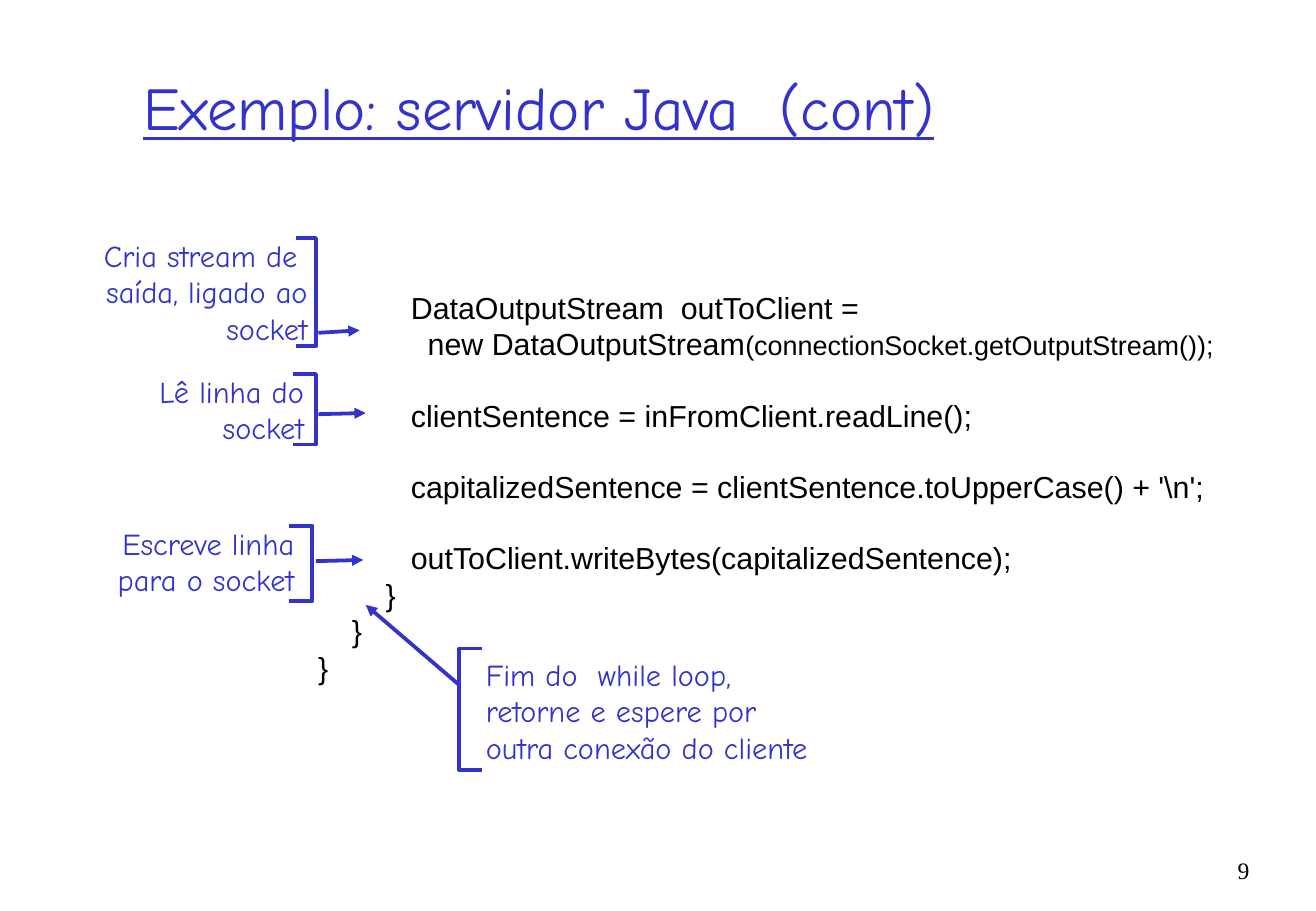
import pptx
import pptx.util
import pptx.dml.color
import pptx.enum.shapes
import pptx.enum.text
import pptx.oxml.ns
import lxml.etree

ALIGN = pptx.enum.text.PP_ALIGN
ANCHOR = pptx.enum.text.MSO_ANCHOR
COLUMNS, ROWS = 108.3, 75


def cells(count):
    return round(count * pptx.util.Inches(0.1))


def colour(value):
    return pptx.dml.color.RGBColor.from_string(value)


class Page:
    note_font, code_font, number_font = "Comic Neue", "Arial", "Times New Roman"
    blue, black = "3333CC", "000000"
    stroke = 2.25

    def __init__(self, deck):
        self.slide = deck.slides.add_slide(deck.slide_layouts[6])

    def text(self, lines, place, size, font, ink, align=ALIGN.LEFT,
             anchor=ANCHOR.MIDDLE, underline=None):
        box = self.slide.shapes.add_textbox(*map(cells, place))
        frame = box.text_frame
        frame.word_wrap = True
        frame.vertical_anchor = anchor
        for index, line in enumerate(lines):
            para = frame.paragraphs[0] if index == 0 else frame.add_paragraph()
            para.alignment = align
            para.font.name = font
            para.font.size = pptx.util.Pt(size)
            para.font.color.rgb = colour(ink)
            para.font.underline = underline
            para.add_run().text = line
        return frame.paragraphs

    def note(self, lines, place, align):
        self.text(lines, place, 18, self.note_font, self.blue, align)

    def outline(self, line):
        line.color.rgb = colour(self.blue)
        line.width = pptx.util.Pt(self.stroke)

    def bracket(self, spine, top, bottom, reach):
        tip = spine + reach
        builder = self.slide.shapes.build_freeform(cells(tip), cells(top), 1)
        corners = [(spine, top), (spine, bottom), (tip, bottom)]
        builder.add_line_segments(
            [(cells(x), cells(y)) for x, y in corners], close=False)
        shape = builder.convert_to_shape()
        shape.shadow.inherit = False
        shape.fill.background()
        self.outline(shape.line)

    def arrow(self, start, end):
        connector = self.slide.shapes.add_connector(
            pptx.enum.shapes.MSO_CONNECTOR.STRAIGHT, *map(cells, start + end))
        self.outline(connector.line)
        qualified = pptx.oxml.ns.qn
        lxml.etree.SubElement(connector.line._get_or_add_ln(),
                              qualified("a:tailEnd"), type="triangle")
        lxml.etree.SubElement(connector._element.spPr,
                              qualified("a:effectLst"))

    def code(self, lines, place, spaced_lines, gap):
        paras = self.text(lines, place, 18, self.code_font, self.black,
                          anchor=ANCHOR.TOP)
        for index in spaced_lines:
            paras[index].space_before = pptx.util.Pt(gap)
        return paras


def main():
    deck = pptx.Presentation()
    deck.slide_width, deck.slide_height = cells(COLUMNS), cells(ROWS)
    page = Page(deck)

    page.text(["Exemplo: servidor Java  (cont)"], (10.8, 2.5, 84.9, 12.5),
              36, page.note_font, page.blue, underline=True)

    code_lines = [
        "           DataOutputStream  outToClient =",
        "             new DataOutputStream",
        "           clientSentence = inFromClient.readLine();",
        "           capitalizedSentence = clientSentence.toUpperCase() + '\\n';",
        "           outToClient.writeBytes(capitalizedSentence);",
        "        }",
        "    }",
        "}",
    ]
    paras = page.code(code_lines, (25.2, 23.3, 78, 34), (2, 3, 4), 20.7)
    span = paras[1].add_run()
    span.text = "(connectionSocket.getOutputStream());"
    span.font.size = pptx.util.Pt(16)

    right, left = ALIGN.RIGHT, ALIGN.LEFT
    callouts = [
        (["Cria stream de ", "saída, ligado ao", "socket"],
         (1.5, 19, 24.8, 10), right,
         (26, 19.6, 28.5, -1.6), (26.2, 27.4), (29.6, 27.2)),
        (["Lê linha do", "socket"],
         (8, 30.2, 18, 7), right,
         (26, 30.8, 36.6, -1.9), (26.2, 34.1), (30.1, 34)),
        (["Escreve linha", "para o socket"],
         (5.2, 42.7, 20, 7), right,
         (25.7, 43.3, 49.5, -1.9), (26, 46.2), (29.9, 46.1)),
        (["Fim do  while loop,", "retorne e espere por",
          "outra conexão do cliente"],
         (39, 53.5, 32, 10), left,
         (37.8, 53.4, 63.4, 1.9), (37.8, 56.4), (30.1, 49.8)),
    ]
    for lines, place, align, bracket, start, end in callouts:
        page.note(lines, place, align)
        page.bracket(*bracket)
        page.arrow(start, end)

    page.text(["9"], (98.4, 70, 5.4, 5), 14, page.number_font, page.black,
              right, ANCHOR.TOP)
    deck.save("out.pptx")


if __name__ == "__main__":
    main()
